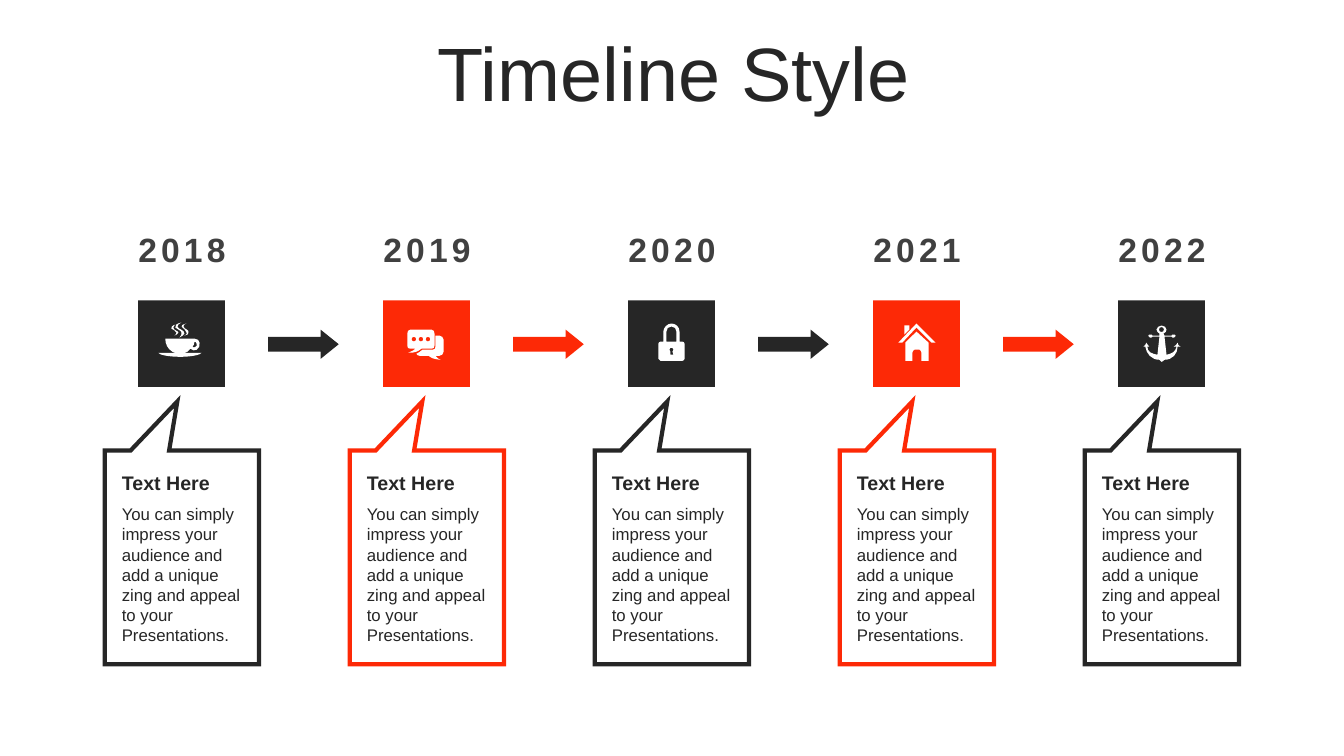
from dataclasses import dataclass, field
from typing import Any

from lxml.etree import SubElement
from pptx import Presentation
from pptx.dml.color import RGBColor
from pptx.enum.shapes import MSO_SHAPE
from pptx.enum.text import MSO_ANCHOR, MSO_AUTO_SIZE, PP_ALIGN
from pptx.oxml.ns import qn
from pptx.shapes.autoshape import Shape
from pptx.util import Inches, Pt


@dataclass(frozen=True)
class Theme:
    font: str = "Arial"
    dark: RGBColor = RGBColor(0x26, 0x26, 0x26)
    accent: RGBColor = RGBColor(0xFD, 0x29, 0x06)
    year: RGBColor = RGBColor(0x40, 0x40, 0x40)
    white: RGBColor = RGBColor(0xFF, 0xFF, 0xFF)
    title_size: int = 54
    year_size: int = 24
    heading_size: int = 14
    body_size: int = 12
    outline: int = 3


THEME = Theme()


@dataclass(frozen=True)
class Box:
    left: float
    top: float
    width: float
    height: float

    def shifted(self, dx: float) -> "Box":
        return Box(self.left + dx, self.top, self.width, self.height)

    def emu(self) -> tuple[int, ...]:
        return tuple(Inches(v) for v in (self.left, self.top, self.width, self.height))


@dataclass(frozen=True)
class TextStyle:
    size: int
    color: RGBColor = THEME.dark
    bold: bool = False
    tracking: int = 0
    paragraph: dict[str, Any] = field(default_factory=dict)
    anchor: MSO_ANCHOR = MSO_ANCHOR.TOP
    auto_size: MSO_AUTO_SIZE = MSO_AUTO_SIZE.SHAPE_TO_FIT_TEXT


@dataclass(frozen=True)
class Milestone:
    year: str
    color: RGBColor
    icon: tuple[str, ...]


PITCH = 2.43
TITLE = Box(0.35, 0.37, 12.66, 0.79)
YEAR = Box(1.16, 2.22, 1.29, 0.5)
TILE = Box(1.37, 2.98, 0.86, 0.86)
ARROW = Box(2.66, 3.27, 0.7, 0.29)
CALLOUT = Box(1.04, 4.47, 1.53, 2.12)
HEADING = Box(1.11, 4.62, 1.4, 0.34)
BODY = Box(1.11, 4.95, 1.4, 1.51)

CENTERED = {"alignment": PP_ALIGN.CENTER}
TITLE_STYLE = TextStyle(THEME.title_size, paragraph={**CENTERED, "line_spacing": 0.9},
                        anchor=MSO_ANCHOR.MIDDLE, auto_size=MSO_AUTO_SIZE.NONE)
YEAR_STYLE = TextStyle(THEME.year_size, THEME.year, True, 3, CENTERED)
HEADING_STYLE = TextStyle(THEME.heading_size, bold=True, anchor=MSO_ANCHOR.MIDDLE)
BODY_STYLE = TextStyle(THEME.body_size)
BODY_TEXT = ("You can simply impress your audience and add a unique zing "
             "and appeal to your Presentations.")


def dot(x: float, y: float, r: float) -> str:
    """Outline of a circle in the icon notation."""
    k = 0.55 * r
    return (f"{x},{y - r} {x - k},{y - r},{x - r},{y - k},{x - r},{y} "
            f"{x - r},{y + k},{x - k},{y + r},{x},{y + r} "
            f"{x + k},{y + r},{x + r},{y + k},{x + r},{y} "
            f"{x + r},{y - k},{x + k},{y - r},{x},{y - r}")


# Icon outlines in 1/100 inch from the tile corner: x,y is a line, six numbers a Bézier curve.
CUP = (
    "56,41 56,43,55,45,54,46 55,47,56,47,57,46 58,46,59,44,58,43 58,42,57,41,56,41",
    "56,38 59,38,61,40,61,42 62,45,60,48,58,49 56,50,54,50,52,48 51,49,50,50,49,51 "
    "48,52,47,52,46,52 63,52 62,54,53,56,42,56 30,56,21,54,20,52 37,52 "
    "36,52,35,52,34,51 29,48,27,43,27,38",
    "37,24 36,25,35,26,35,27 35,30,40,30,40,32 39,34,38,34,36,35 37,34,38,34,38,32 "
    "38,30,35,30,33,28 32,27,34,25,37,24",
    "48,23 46,24,45,24,45,26 46,29,51,29,50,32 50,34,49,34,46,35 48,34,49,33,48,32 "
    "48,29,45,29,44,27 42,25,44,24,48,23",
    "43,22 41,23,39,24,39,26 40,29,46,29,46,33 45,35,44,35,41,37 43,35,43,34,43,32 "
    "43,30,39,29,37,27 36,25,38,23,43,22",
)
CHAT = (
    *(dot(x, 38.5, 2.3) for x in (30.5, 37.5, 44.5)),
    "52,35 56,35 58,35,60,37,60,39 60,51 60,53,58,55,56,55 52,55 53,56,53,57,57,59 "
    "50,58,49,58,45,55 36,55 35,55,33,54,33,53 35,52,37,51,39,49 49,49 51,49,52,48,52,46",
    "27,29 48,29 50,29,51,31,51,33 51,45 51,47,50,48,48,48 38,48 34,51,32,52,25,52 "
    "29,50,30,50,32,48 27,48 25,48,24,47,24,45 24,33 24,31,25,29,27,29",
)
LOCK = (
    "43,47 42,47,41,48,41,49 41,50,42,50,42,51 42,54 45,54 44,51 45,50,45,50,45,49 "
    "45,48,44,47,43,47",
    "43,26 40,26,38,28,38,31 38,41 48,41 48,31 48,28,46,26,43,26",
    "43,23 47,23,51,26,51,31 51,41 54,41 55,41,56,42,56,43 56,58 56,59,55,60,54,60 "
    "32,60 31,60,30,59,30,58 30,43 30,42,31,41,32,41 35,41 35,31 35,27,39,23,43,23",
)
HOUSE = (
    "43,31 55,42 55,60 48,60 48,52 48,51,47,49,46,49 41,49 40,49,39,51,39,52 39,60 32,60 32,42",
    "31,25 36,25 36,29 31,34",
    "43,23 62,42 58,42 43,27 29,42 25,42",
)
ANCHOR = (
    dot(43, 29, 2.5),
    "43,25 46,25,48,27,48,29 48,31,47,32,45,33 46,35 53,35 53,34,54,34,55,34 "
    "56,34,57,34,57,35 57,36,56,37,55,37 54,37,53,37,53,36 46,36 48,54 53,53,57,51,58,46 "
    "57,46,56,46,55,46 57,45,58,44,59,42 59,44,60,45,62,46 61,46,60,46,59,46 "
    "59,53,54,59,46,59 45,60,44,61,43,61 43,61,42,60,41,59 33,59,28,53,27,46 "
    "26,46,26,46,25,46 26,45,28,44,28,42 29,44,30,45,31,46 30,46,30,46,29,46 "
    "29,51,33,53,39,54 41,36 34,36 34,37,33,37,32,37 31,37,30,36,30,35 30,34,31,34,32,34 "
    "33,34,34,34,34,35 41,35 41,33 40,32,38,31,38,29 38,27,41,25,43,25",
)

MILESTONES = (
    Milestone("2018", THEME.dark, CUP),
    Milestone("2019", THEME.accent, CHAT),
    Milestone("2020", THEME.dark, LOCK),
    Milestone("2021", THEME.accent, HOUSE),
    Milestone("2022", THEME.dark, ANCHOR),
)


def paint(sp: Shape, fill: RGBColor, line: RGBColor | None = None) -> None:
    sp.shadow.inherit = False
    sp.fill.solid()
    sp.fill.fore_color.rgb = fill
    if line is None:
        sp.line.fill.background()
    else:
        sp.line.color.rgb = line
        sp.line.width = Pt(THEME.outline)
        SubElement(sp.line._get_or_add_ln(), qn("a:miter"), lim="800000")


def add_preset(s, kind: MSO_SHAPE, box: Box, fill: RGBColor, line: RGBColor | None = None,
               adjustments: tuple[float, ...] = ()) -> None:
    sp = s.shapes.add_shape(kind, *box.emu())
    for i, value in enumerate(adjustments):
        sp.adjustments[i] = value
    paint(sp, fill, line)


def segment_points(segment: str, tile: Box) -> list[tuple[int, int]]:
    """Slide positions of a segment's points; the last one is where it ends."""
    n = [float(v) for v in segment.split(",")]
    return [(Inches(tile.left + x / 100), Inches(tile.top + y / 100))
            for x, y in zip(n[::2], n[1::2])]


def bend_lines(sp: Shape, segments: list[list[tuple[int, int]]]) -> None:
    """Turn the freeform's lines into Bézier curves wherever a segment has control points."""
    for line, points in zip(list(sp._element.iter(qn("a:lnTo"))), segments):
        if len(points) == 3:
            line.clear()
            line.tag = qn("a:cubicBezTo")
            for x, y in points:
                SubElement(line, qn("a:pt"), x=str(x - sp.left), y=str(y - sp.top))


def add_icon(s, outlines: tuple[str, ...], tile: Box) -> None:
    contours = [[segment_points(seg, tile) for seg in outline.split()] for outline in outlines]
    builder = s.shapes.build_freeform(*contours[0][0][-1])
    for i, (start, *rest) in enumerate(contours):
        if i:
            builder.move_to(*start[-1])
        builder.add_line_segments([points[-1] for points in rest], close=True)
    sp = builder.convert_to_shape()
    bend_lines(sp, [points for contour in contours for points in contour[1:]])
    paint(sp, THEME.white)


def add_text(s, text: str, box: Box, style: TextStyle) -> None:
    tf = s.shapes.add_textbox(*box.emu()).text_frame
    frame = {"word_wrap": True, "vertical_anchor": style.anchor, "auto_size": style.auto_size}
    p = tf.paragraphs[0]
    r = p.add_run()
    r.text = text
    font = {"name": THEME.font, "size": Pt(style.size), "bold": style.bold}
    for target, values in ((tf, frame), (p, style.paragraph), (r.font, font)):
        for name, value in values.items():
            setattr(target, name, value)
    r.font.color.rgb = style.color
    if style.tracking:
        r._r.get_or_add_rPr().set("spc", str(style.tracking * 100))


def add_milestone(s, m: Milestone, dx: float) -> None:
    tile = TILE.shifted(dx)
    add_text(s, m.year, YEAR.shifted(dx), YEAR_STYLE)
    add_preset(s, MSO_SHAPE.RECTANGLE, tile, m.color)
    add_icon(s, m.icon, tile)
    add_preset(s, MSO_SHAPE.RECTANGULAR_CALLOUT, CALLOUT.shifted(dx), THEME.white, m.color,
               (-0.03, -0.73))
    add_text(s, BODY_TEXT, BODY.shifted(dx), BODY_STYLE)
    add_text(s, "Text Here", HEADING.shifted(dx), HEADING_STYLE)


def main() -> None:
    prs = Presentation()
    prs.slide_width, prs.slide_height = Inches(13.33), Inches(7.5)
    s = prs.slides.add_slide(prs.slide_layouts[6])
    add_text(s, "Timeline Style", TITLE, TITLE_STYLE)
    for i, m in enumerate(MILESTONES):
        add_milestone(s, m, i * PITCH)
    for i, m in enumerate(MILESTONES[:-1]):
        add_preset(s, MSO_SHAPE.RIGHT_ARROW, ARROW.shifted(i * PITCH), m.color,
                   adjustments=(0.5, 0.62))
    prs.save("out.pptx")


if __name__ == "__main__":
    main()
